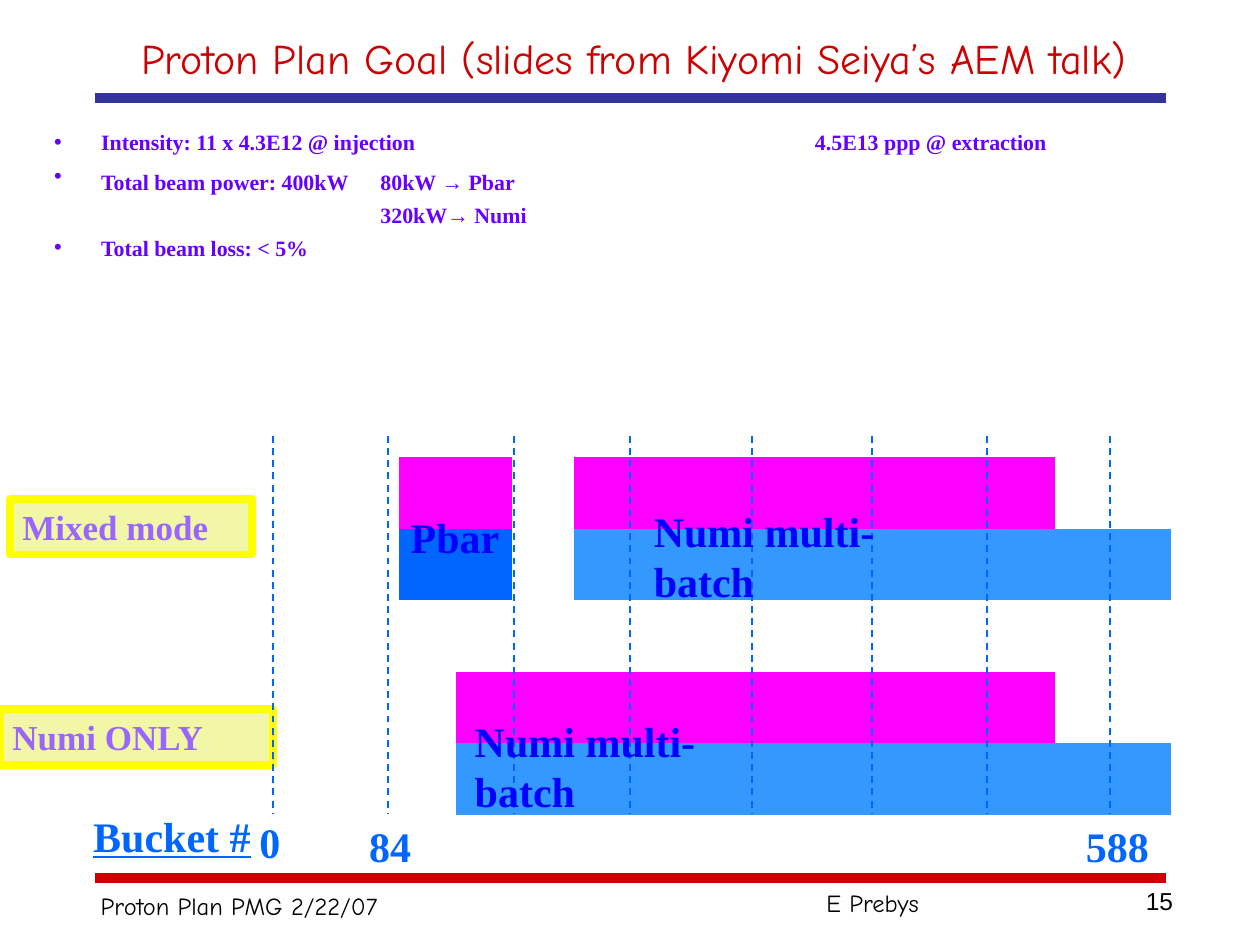
from lxml.etree import SubElement
from pptx import Presentation
from pptx.dml.color import RGBColor
from pptx.enum.dml import MSO_LINE
from pptx.enum.shapes import MSO_CONNECTOR, MSO_SHAPE
from pptx.enum.text import MSO_ANCHOR, MSO_AUTO_SIZE, PP_ALIGN
from pptx.oxml.ns import qn
from pptx.util import Cm, Pt

COLORS = {
    "red": "CC0000", "navy": "333399", "black": "000000", "violet": "6600FF",
    "blue": "0066FF", "deep_blue": "0000FF", "sky": "3399FF", "magenta": "FF00FF",
    "lilac": "9966FF", "cream": "F1F7A7", "yellow": "FFFF00",
}
NO_GRID_STYLE = "{2D5ABB26-0587-4C30-8999-92F81FD0307C}"

# Text formats: font values and color
TITLE = {"name": "Comic Neue", "size": Pt(24), "color": "red"}
FOOTER = {"name": "Comic Neue", "size": Pt(14), "color": "black"}
NUMBER = {**FOOTER, "name": "Arial"}
GOAL = {"name": "Times New Roman", "size": Pt(12.5), "bold": True, "color": "violet"}
GOAL_ARROW = {**GOAL, "name": "Arial"}
GOAL_GAP = {**GOAL, "size": Pt(20)}
BUCKET = {**GOAL, "size": Pt(24), "color": "blue"}
BUCKET_HEAD = {**BUCKET, "underline": True}
BATCH = {**BUCKET, "color": "deep_blue"}
MODE = {**GOAL, "size": Pt(20), "color": "lilac"}

# Goals: tab stops in cm, then the pieces of each paragraph
GOALS = [
    ([15.34], [("Intensity: 11 x 4.3E12 @ injection\t4.5E13 ppp @ extraction", GOAL)]),
    ([6.58, 10.16], [
        ("Total beam power: 400kW", GOAL), ("\t", GOAL_GAP), ("80kW ", GOAL),
        ("→", GOAL_ARROW), (" Pbar", GOAL), ("\n", GOAL_GAP), ("\t", GOAL_GAP),
        ("320kW", GOAL), ("→", GOAL_ARROW), (" Numi", GOAL)]),
    ([], [("Total beam loss: < 5%", GOAL)]),
]

# Batch chart: one letter per cell, "<" continues the cell to its left
BATCH_FILLS = {"M": "magenta", "B": "blue", "L": "sky"}
BATCH_ROWS = [
    "M<.M<<M<MMM..<",
    "B<.L<LL<LLL<L.",
    ".<.<<<.<...<.<",
    ".MMMM<MMMMM...",
    ".LLLL<L<LLL<L.",
]
BATCH_COLUMNS = [1.14, 1.14, 1.24, 1.5, 0.51] + [0.61] * 3 + [2.34] * 2 + [1.17] * 4
BATCH_ROW_HEIGHT = 1.44
BUCKET_MARKS = [5.51, 7.82, 10.36, 12.7, 15.16, 17.58, 19.89, 22.38]


def rgb(color):
    return RGBColor.from_string(COLORS[color])


def apply_format(font, values):
    for key, value in values.items():
        if key == "color":
            font.color.rgb = rgb(value)
        else:
            setattr(font, key, value)


def add_run(paragraph, text, values):
    run = paragraph.add_run()
    run.text = text
    apply_format(run.font, values)


def add_label(slide, text, box, values, **frame_values):
    """One line of text; frame_values override the frame settings."""
    label = slide.shapes.add_textbox(*map(Cm, box))
    settings = {"word_wrap": False, "auto_size": MSO_AUTO_SIZE.SHAPE_TO_FIT_TEXT}
    settings.update(frame_values)
    align = settings.pop("alignment", PP_ALIGN.LEFT)
    for key, value in settings.items():
        setattr(label.text_frame, key, value)
    paragraph = label.text_frame.paragraphs[0]
    paragraph.alignment = align
    add_run(paragraph, text, values)


def add_mode_box(slide, text, box):
    mode = slide.shapes.add_shape(MSO_SHAPE.RECTANGLE, *map(Cm, box))
    mode.shadow.inherit = False
    mode.fill.solid()
    mode.fill.fore_color.rgb = rgb("cream")
    mode.line.color.rgb = rgb("yellow")
    mode.line.width = Pt(4.5)
    mode.text_frame.vertical_anchor = MSO_ANCHOR.TOP
    paragraph = mode.text_frame.paragraphs[0]
    paragraph.alignment = PP_ALIGN.LEFT
    add_run(paragraph, text, MODE)


def add_line(slide, start, end, color, width, dash=None):
    line = slide.shapes.add_connector(MSO_CONNECTOR.STRAIGHT, *map(Cm, start + end))
    line.line.color.rgb = rgb(color)
    line.line.width = Pt(width)
    if dash:
        line.line.dash_style = dash
    SubElement(line._element.spPr, qn("a:effectLst"))


def add_bullet(paragraph, tab_stops):
    properties = paragraph._p.get_or_add_pPr()
    properties.set("marL", str(Cm(0.95)))
    properties.set("indent", str(-Cm(0.95)))
    SubElement(properties, qn("a:buFont"), typeface="Arial")
    SubElement(properties, qn("a:buChar"), char="•")
    if tab_stops:
        tabs = SubElement(properties, qn("a:tabLst"))
        for stop in tab_stops:
            SubElement(tabs, qn("a:tab"), pos=str(Cm(stop)), algn="l")


def add_goals(slide):
    frame = slide.shapes.add_textbox(Cm(0.84), Cm(2.57), Cm(22.86), Cm(4.22)).text_frame
    frame.word_wrap = True
    for index, (tab_stops, pieces) in enumerate(GOALS):
        paragraph = frame.add_paragraph() if index else frame.paragraphs[0]
        add_bullet(paragraph, tab_stops)
        paragraph.line_spacing = 0.8
        paragraph.space_before = Pt(5 if index else 0)
        for text, values in pieces:
            if text == "\n":
                paragraph.add_line_break()
            else:
                add_run(paragraph, text, values)


def add_batch_table(slide):
    height = BATCH_ROW_HEIGHT * len(BATCH_ROWS)
    frame = slide.shapes.add_table(
        len(BATCH_ROWS), len(BATCH_COLUMNS),
        Cm(8.05), Cm(9.22), Cm(sum(BATCH_COLUMNS)), Cm(height))
    table = frame.table
    table.first_row = table.horz_banding = False
    table._tbl.tblPr.find(qn("a:tableStyleId")).text = NO_GRID_STYLE
    for column, width in zip(table.columns, BATCH_COLUMNS):
        column.width = Cm(width)
    for r, codes in enumerate(BATCH_ROWS):
        table.rows[r].height = Cm(BATCH_ROW_HEIGHT)
        for c, code in enumerate(codes):
            if code == "<":
                continue
            cell = table.cell(r, c)
            rest = codes[c + 1:]
            span = len(rest) - len(rest.lstrip("<"))
            if span:
                cell.merge(table.cell(r, c + span))
            if code in BATCH_FILLS:
                cell.fill.solid()
                cell.fill.fore_color.rgb = rgb(BATCH_FILLS[code])
            else:
                cell.fill.background()


def main():
    presentation = Presentation()
    presentation.slide_width, presentation.slide_height = Cm(25.4), Cm(19.05)
    slide = presentation.slides.add_slide(presentation.slide_layouts[6])

    # Rules and footer
    for y, color in ((17.7, "red"), (1.98, "navy")):
        add_line(slide, (1.91, y), (23.5, y), color, 6)
    add_label(slide, "Proton Plan PMG 2/22/07", (1.78, 17.83, 6.12, 0.86), FOOTER)
    add_label(slide, "E Prebys", (16.41, 17.78, 7.04, 0.86), FOOTER, word_wrap=True)
    add_label(slide, "15", (17.98, 17.73, 5.92, 1.32), NUMBER, word_wrap=True,
              auto_size=MSO_AUTO_SIZE.NONE, alignment=PP_ALIGN.RIGHT)

    # Title and goals
    add_label(slide, "Proton Plan Goal (slides from Kiyomi Seiya’s AEM talk)",
              (1.24, 0.43, 23.06, 1.47), TITLE, word_wrap=True,
              auto_size=MSO_AUTO_SIZE.NONE, alignment=PP_ALIGN.CENTER,
              vertical_anchor=MSO_ANCHOR.MIDDLE)
    add_goals(slide)

    # Batches by mode, with bucket marks over them
    add_batch_table(slide)
    add_mode_box(slide, "Mixed mode", (0.2, 10.06, 4.88, 1.12))
    add_mode_box(slide, "Numi ONLY", (0, 14.3, 5.51, 1.12))
    for x in BUCKET_MARKS:
        add_line(slide, (x, 8.79), (x, 16.41), "blue", 1, MSO_LINE.DASH)
    for text, box in (
        ("Pbar", (8.03, 10.19, 2.29, 1.27)),
        ("Numi multi-batch", (12.93, 10.06, 6.96, 1.27)),
        ("Numi multi-batch", (9.32, 14.3, 6.96, 1.27)),
    ):
        add_label(slide, text, box, BATCH)

    # Bucket numbers
    add_label(slide, "Bucket #", (1.63, 16.21, 3.68, 1.27), BUCKET_HEAD)
    for text, x, y, width in (("0", 4.98, 16.33, 0.91), ("84", 7.19, 16.41, 1.35),
                              ("588", 21.64, 16.41, 1.78)):
        add_label(slide, text, (x, y, width, 1.27), BUCKET)

    presentation.save("out.pptx")


if __name__ == "__main__":
    main()
